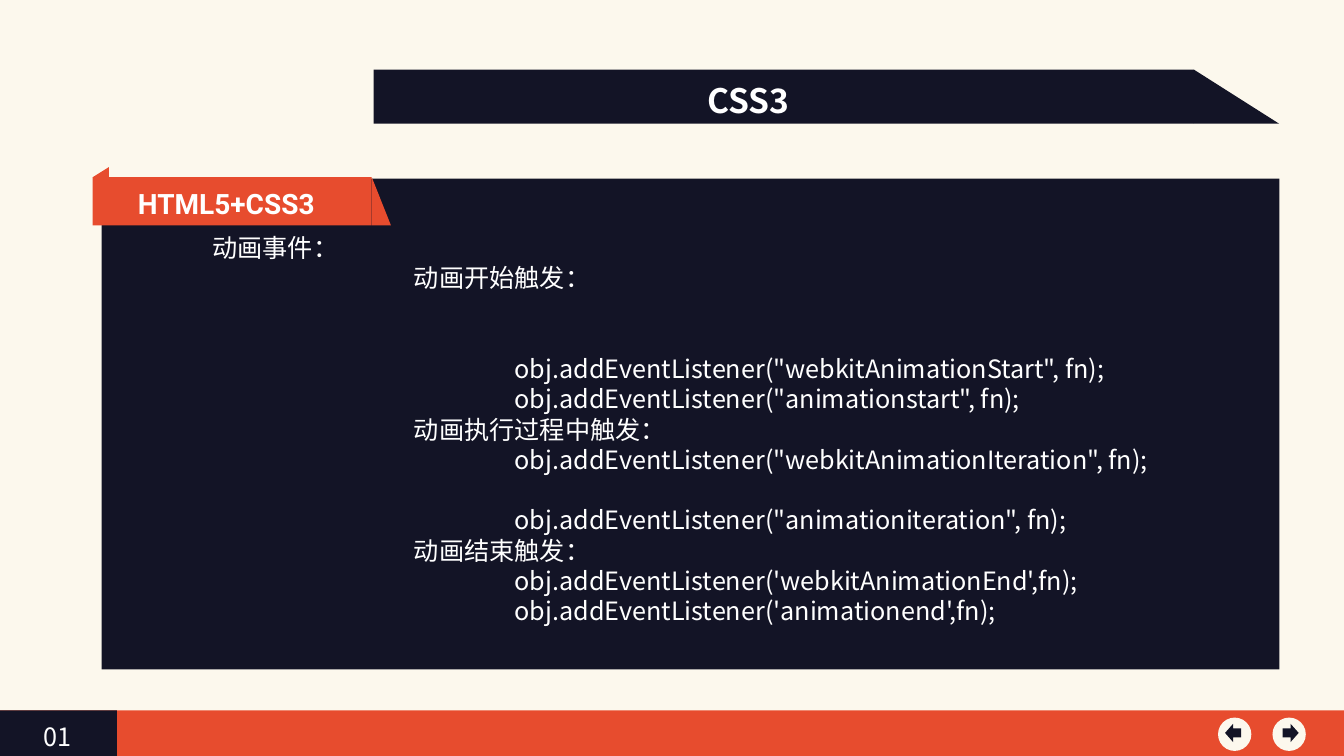
"""Builds the slide on CSS3 animation events."""
from lxml.etree import SubElement
from pptx import Presentation
from pptx.dml.color import RGBColor
from pptx.enum.shapes import MSO_SHAPE as Preset
from pptx.enum.text import PP_ALIGN as Align
from pptx.oxml.ns import qn
from pptx.util import Pt

CREAM = RGBColor(0xFC, 0xF8, 0xED)
ORANGE = RGBColor(0xE7, 0x4C, 0x2E)
NAVY = RGBColor(0x13, 0x14, 0x26)
WHITE = RGBColor(0xFF, 0xFF, 0xFF)
NOTO = "Noto Sans CJK SC"
ROBOTO = "Roboto"
LINE_FACTOR = 1.2

HEADING, EVENT, CODE = 72, 216, 288
EVENT_LINES = [
    (HEADING, 0, "动画事件："),
    (EVENT, 0, "动画开始触发："),
    (CODE, 2, 'obj.addEventListener("webkitAnimationStart", fn);'),
    (CODE, 0, 'obj.addEventListener("animationstart", fn);'),
    (EVENT, 0, "动画执行过程中触发："),
    (CODE, 0, 'obj.addEventListener("webkitAnimationIteration", fn);'),
    (CODE, 1, 'obj.addEventListener("animationiteration", fn);'),
    (EVENT, 0, "动画结束触发："),
    (CODE, 0, "obj.addEventListener('webkitAnimationEnd',fn);"),
    (CODE, 0, "obj.addEventListener('animationend',fn);"),
]


def paint(shape, color):
    """Give a shape a plain fill without line or shadow."""
    shape.shadow.inherit = False
    shape.fill.solid()
    shape.fill.fore_color.rgb = color
    shape.line.fill.background()


def add_block(slide, preset, box, color):
    """Add a filled preset shape."""
    paint(slide.shapes.add_shape(preset, *map(Pt, box)), color)


def add_fold(slide, corners, color):
    """Add a filled outline through the given corners."""
    start, *others = [(Pt(x), Pt(y)) for x, y in corners]
    builder = slide.shapes.build_freeform(*start)
    builder.add_line_segments(others)
    paint(builder.convert_to_shape(), color)


def add_frame(slide, box):
    """Add a wrapping text frame."""
    frame = slide.shapes.add_textbox(*map(Pt, box)).text_frame
    frame.word_wrap = True
    return frame


def write_line(paragraph, text, size, face=NOTO, bold=False):
    """Write one white line with a set line height."""
    paragraph.line_spacing = Pt(size * LINE_FACTOR)
    run = paragraph.add_run()
    run.text = text
    run.font.size = Pt(size)
    run.font.bold = bold
    run.font.color.rgb = WHITE
    run.font.name = face
    SubElement(run._r.get_or_add_rPr(), qn("a:ea")).set("typeface", face)


def add_button(slide, left, arrow, arrow_left):
    """Add a round navigation button with its arrow."""
    add_block(slide, Preset.OVAL, (left, 512.6, 23.8, 23.8), CREAM)
    add_block(slide, arrow, (arrow_left, 517, 11.5, 13), NAVY)


def add_footer(slide):
    """Add the bottom band, page number and buttons."""
    add_block(slide, Preset.RECTANGLE, (0, 507.4, 960.48, 32.6), ORANGE)
    add_block(slide, Preset.RECTANGLE, (0, 507.4, 83.5, 32.6), NAVY)
    add_button(slide, 870.5, Preset.LEFT_ARROW, 875.5)
    add_button(slide, 909.4, Preset.RIGHT_ARROW, 916.6)
    page_number = add_frame(slide, (24, 512, 52, 28))
    write_line(page_number.paragraphs[0], "01", 18)


def add_title(slide):
    """Add the title banner with its slanted end."""
    add_block(slide, Preset.RECTANGLE, (267.1, 49.7, 586.1, 38.7), NAVY)
    add_block(slide, Preset.RIGHT_TRIANGLE, (853.2, 49.7, 61, 38.7), NAVY)
    title = add_frame(slide, (267.1, 53.5, 535.7, 36)).paragraphs[0]
    title.alignment = Align.CENTER
    write_line(title, "CSS3", 24, bold=True)


def add_ribbon(slide):
    """Add the folded topic ribbon."""
    add_block(slide, Preset.RECTANGLE, (66.3, 126.6, 199.4, 34.4), ORANGE)
    add_block(slide, Preset.RIGHT_TRIANGLE, (265.7, 126.6, 13.7, 34.4), ORANGE)
    add_fold(slide, [(66.3, 126.6), (77.8, 119.4), (77.8, 126.6)], ORANGE)
    topic = add_frame(slide, (91.5, 129.4, 160, 32))
    write_line(topic.paragraphs[0], "HTML5+CSS3", 20, ROBOTO, True)


def add_events(slide):
    """Write the animation events, indented by level."""
    frame = add_frame(slide, (72.7, 162.6, 841, 288))
    for index, (indent, gap, text) in enumerate(EVENT_LINES):
        line = frame.add_paragraph() if index else frame.paragraphs[0]
        properties = line._p.get_or_add_pPr()
        properties.set("marL", str(Pt(indent)))
        properties.set("indent", "0")
        line.space_before = Pt(gap * 18 * LINE_FACTOR)
        write_line(line, text, 18)


def main():
    """Build and save the slide."""
    deck = Presentation()
    deck.slide_width, deck.slide_height = Pt(960.48), Pt(540)
    slide = deck.slides.add_slide(deck.slide_layouts[6])
    slide.background.fill.solid()
    slide.background.fill.fore_color.rgb = CREAM
    add_footer(slide)
    add_block(slide, Preset.RECTANGLE, (72.7, 127.6, 841.7, 350.6), NAVY)
    add_title(slide)
    add_ribbon(slide)
    add_events(slide)
    deck.save("out.pptx")


if __name__ == "__main__":
    main()
